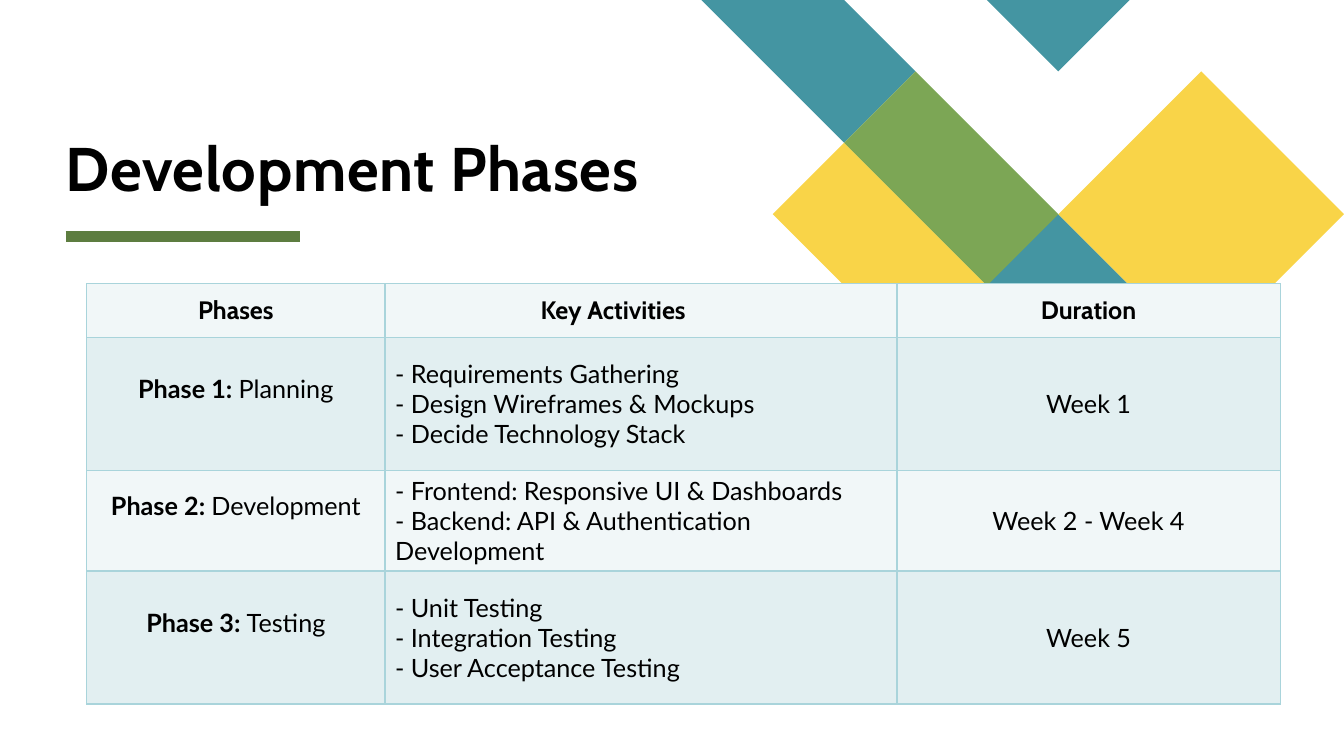
"""Build the Development Phases slide with its ribbon pattern and phase table."""
from lxml import etree
from pptx import Presentation, dml, util as u
from pptx.dml import color
from pptx.enum import shapes, text
from pptx.oxml import ns

TITLE = "Development Phases"
HEADERS = ["Phases", "Key Activities", "Duration"]
PHASES = [
    ("Phase 1: ", "Planning",
     ["- Requirements Gathering", "- Design Wireframes & Mockups", "- Decide Technology Stack"],
     "Week 1"),
    ("Phase 2: ", "Development",
     ["- Frontend: Responsive UI & Dashboards", "- Backend: API & Authentication Development"],
     "Week 2 - Week 4"),
    ("Phase 3: ", "Testing",
     ["- Unit Testing", "- Integration Testing", "- User Acceptance Testing"],
     "Week 5"),
]
COLUMN_WIDTHS = [213.1, 365.8, 273.6]
ROW_HEIGHTS = [38.2, 95, 66.2, 95]
TABLE_LEFT, TABLE_TOP = 61.9, 202.7
ROW_FILLS = ["F1F7F8", "E2EFF1"]
BORDER = "A9D4DB"

TEAL, YELLOW, GREEN = "4495A2", "F9D448", "7CA655"
GRID_LEFT, GRID_STEP = 501, 51
RIBBONS = [
    (TEAL, [[(3, 1), (2, 0), (0, 0), (2, 2)], [(6, 4), (5, 3), (4, 4), (5, 5)]]),
    (YELLOW, [[(2, 2), (1, 3), (3, 5), (4, 4)]]),
    (TEAL, [[(6, 0), (4, 0), (5, 1)]]),
    (GREEN, [[(3, 1), (2, 2), (4, 4), (5, 3)]]),
    (YELLOW, [[(9, 3), (7, 1), (5, 3), (7, 5)]]),
]

HEADER_FONT = {"name": "Cabin", "size": u.Pt(18), "bold": True}
BODY_FONT = {"name": "Lato", "size": u.Pt(18), "bold": False}
LABEL_FONT = {**BODY_FONT, "bold": True}
TITLE_FONT = {"name": "Cabin", "size": u.Pt(44), "bold": True}
CENTER, LEFT = text.PP_ALIGN.CENTER, text.PP_ALIGN.LEFT


def rgb(value):
    return color.RGBColor.from_string(value)


def apply(target, values):
    for name, value in values.items():
        setattr(target, name, value)


def paint(fill, value):
    fill.solid()
    fill.fore_color.rgb = rgb(value)


def add_run(paragraph, words, font):
    run = paragraph.add_run()
    run.text = words
    apply(run.font, font)
    run.font.color.rgb = rgb("000000")
    return run


def add_ribbon(slide, fill, contours):
    builder = slide.shapes.build_freeform(*contours[0][0], scale=u.Pt(GRID_STEP))
    for index, (first, *others) in enumerate(contours):
        if index:
            builder.move_to(*first)
        builder.add_line_segments(others, close=True)
    shape = builder.convert_to_shape(u.Pt(GRID_LEFT), 0)
    shape.shadow.inherit = False
    paint(shape.fill, fill)
    shape.line.fill.background()


def add_title(slide):
    rule = slide.shapes.add_connector(
        shapes.MSO_CONNECTOR.STRAIGHT, u.Pt(46.8), u.Pt(169.2), u.Pt(214.6), u.Pt(169.2))
    rule.line.width = u.Pt(8)
    rule.line.color.rgb = rgb("5D7D40")
    etree.SubElement(rule._element.spPr, ns.qn("a:effectLst"))

    box = slide.shapes.add_textbox(u.Pt(46.8), u.Pt(42.5), u.Pt(534.2), u.Pt(103))
    apply(box.text_frame, {
        "word_wrap": True, "vertical_anchor": text.MSO_ANCHOR.BOTTOM,
        "margin_left": 0, "margin_right": 0, "margin_top": 0, "margin_bottom": 0})
    paragraph = box.text_frame.paragraphs[0]
    paragraph.line_spacing = 0.8
    run = add_run(paragraph, TITLE, TITLE_FONT)
    run.font._element.set("spc", "50")


def add_borders(cell):
    properties = cell._tc.get_or_add_tcPr()
    for position, side in enumerate(("lnL", "lnR", "lnT", "lnB")):
        line = etree.Element(ns.qn(f"a:{side}"), w=str(u.Pt(1)))
        fill = etree.SubElement(line, ns.qn("a:solidFill"))
        etree.SubElement(fill, ns.qn("a:srgbClr"), val=BORDER)
        properties.insert(position, line)


def fill_cell(cell, lines, alignment, margins):
    apply(cell, {"vertical_anchor": text.MSO_ANCHOR.MIDDLE, **margins})
    paragraph = cell.text_frame.paragraphs[0]
    paragraph.alignment = alignment
    for index, runs in enumerate(lines):
        if index:
            paragraph.add_line_break()
        for words, font in runs:
            add_run(paragraph, words, font)


def add_phase_table(slide):
    table = slide.shapes.add_table(
        len(ROW_HEIGHTS), len(COLUMN_WIDTHS), u.Pt(TABLE_LEFT), u.Pt(TABLE_TOP),
        u.Pt(sum(COLUMN_WIDTHS)), u.Pt(sum(ROW_HEIGHTS))).table
    apply(table, {"first_row": False, "horz_banding": False})
    for column, width in zip(table.columns, COLUMN_WIDTHS):
        column.width = u.Pt(width)

    rows = [[([[(header, HEADER_FONT)]], CENTER, {}) for header in HEADERS]]
    rows[0][1][2]["margin_right"] = u.Pt(47)
    for label, name, activities, duration in PHASES:
        rows.append([
            ([[(label, LABEL_FONT), (name, BODY_FONT)]], CENTER, {"margin_bottom": u.Pt(25.2)}),
            ([[(activity, BODY_FONT)] for activity in activities], LEFT, {}),
            ([[(duration, BODY_FONT)]], CENTER, {}),
        ])
    for index, (row, height) in enumerate(zip(rows, ROW_HEIGHTS)):
        table.rows[index].height = u.Pt(height)
        for cell, content in zip(table.rows[index].cells, row):
            fill_cell(cell, *content)
            paint(cell.fill, ROW_FILLS[index % 2])
            add_borders(cell)


def main():
    presentation = Presentation()
    apply(presentation, {"slide_width": u.Pt(960), "slide_height": u.Pt(540)})
    slide = presentation.slides.add_slide(presentation.slide_layouts[6])
    for fill, contours in RIBBONS:
        add_ribbon(slide, fill, contours)
    add_title(slide)
    add_phase_table(slide)
    presentation.save("out.pptx")


if __name__ == "__main__":
    main()
